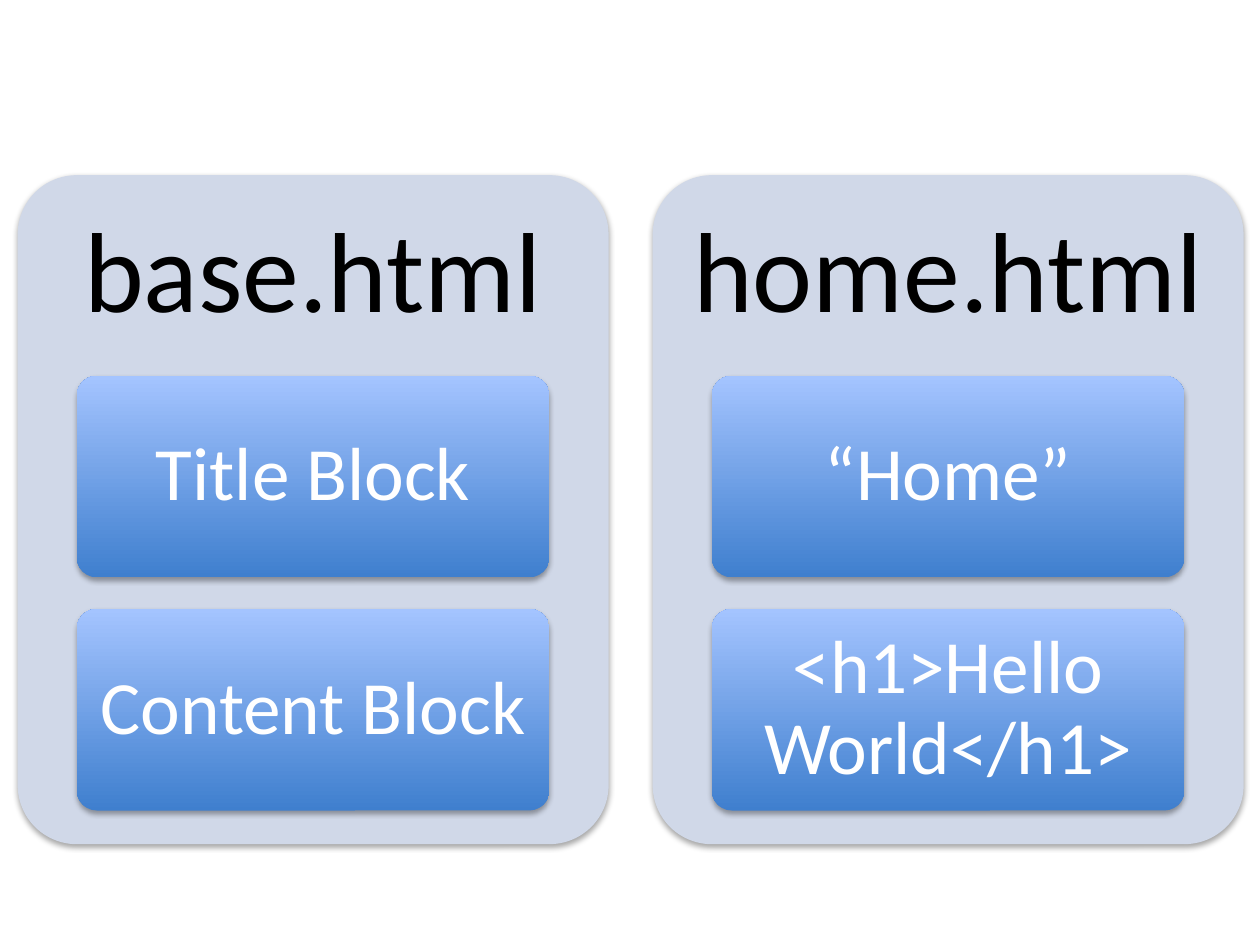
from lxml import etree
from pptx import Presentation
from pptx.dml.color import RGBColor
from pptx.enum.shapes import MSO_SHAPE
from pptx.enum.text import MSO_ANCHOR, PP_ALIGN
from pptx.oxml.ns import qn
from pptx.util import Pt

ROUNDED = MSO_SHAPE.ROUNDED_RECTANGLE
MIDDLE = MSO_ANCHOR.MIDDLE
CENTER = PP_ALIGN.CENTER

COLORS = {
    "panel": "D0D8E8",
    "block_bottom": "3F7FCE",
    "block_top": "A4C4FF",
    "heading": "000000",
    "block_text": "FFFFFF",
    "shadow": "000000",
}
FONT = "Calibri"
BLANK_LAYOUT = 6

# Panels: left, top, width, height and horizontal step, in points
PANEL_LEFT, PANEL_TOP = 10.08, 100.08
PANEL_WIDTH, PANEL_HEIGHT = 337.68, 382.32
PANEL_STEP = 362.88
BLOCK_HEIGHT, BLOCK_STEP = 115.2, 133.2

FILES = [
    ("base.html", ["Title Block", "Content Block"]),
    ("home.html", ["“Home”", "<h1>Hello World</h1>"]),
]


def rgb(name):
    return RGBColor.from_string(COLORS[name])


def add_shadow(shape):
    effects = etree.SubElement(shape._element.spPr, qn("a:effectLst"))
    shadow = etree.SubElement(
        effects, qn("a:outerShdw"), blurRad=str(Pt(3.15)), dist=str(Pt(1.8)),
        dir="5400000", rotWithShape="0")
    color = etree.SubElement(shadow, qn("a:srgbClr"), val=COLORS["shadow"])
    etree.SubElement(color, qn("a:alpha"), val="35000")


def add_rounded_box(slide, left, top, width, height):
    shape = slide.shapes.add_shape(ROUNDED, Pt(left), Pt(top), Pt(width), Pt(height))
    shape.adjustments[0] = 0.1
    shape.line.fill.background()
    return shape


def set_text(shape, text, size, color, margin_x, margin_y):
    frame = shape.text_frame
    frame.text = text
    frame.word_wrap = True
    frame.vertical_anchor = MIDDLE
    frame.margin_left = frame.margin_right = Pt(margin_x)
    frame.margin_top = frame.margin_bottom = Pt(margin_y)
    paragraph = frame.paragraphs[0]
    paragraph.alignment = CENTER
    paragraph.line_spacing = 0.9
    font = paragraph.runs[0].font
    font.name, font.size = FONT, Pt(size)
    font.color.rgb = rgb(color)


def add_block(slide, text, left, top, width, height):
    block = add_rounded_box(slide, left, top, width, height)
    block.fill.gradient()
    block.fill.gradient_angle = 90
    for stop, color in zip(block.fill.gradient_stops, ("block_bottom", "block_top")):
        stop.color.rgb = rgb(color)
    add_shadow(block)
    set_text(block, text, 43, "block_text", 8.64, 6.48)


def add_file_panel(slide, heading, blocks, left, top, width, height):
    # Background
    panel = add_rounded_box(slide, left, top, width, height)
    panel.fill.solid()
    panel.fill.fore_color.rgb = rgb("panel")
    add_shadow(panel)

    # Heading fills the top 30 percent
    heading_height = 0.3 * height
    heading_box = slide.shapes.add_textbox(
        Pt(left), Pt(top), Pt(width), Pt(heading_height))
    set_text(heading_box, heading, 65, "heading", 19.44, 19.44)

    # Blocks, inset by a tenth of the panel on each side
    for row, text in enumerate(blocks):
        add_block(slide, text, left + 0.1 * width,
                  top + heading_height + row * BLOCK_STEP,
                  0.8 * width, BLOCK_HEIGHT)


def main():
    presentation = Presentation()
    presentation.slide_width, presentation.slide_height = Pt(720), Pt(540)
    slide = presentation.slides.add_slide(presentation.slide_layouts[BLANK_LAYOUT])
    for column, (heading, blocks) in enumerate(FILES):
        add_file_panel(slide, heading, blocks, PANEL_LEFT + column * PANEL_STEP,
                       PANEL_TOP, PANEL_WIDTH, PANEL_HEIGHT)
    presentation.save("out.pptx")


if __name__ == "__main__":
    main()
